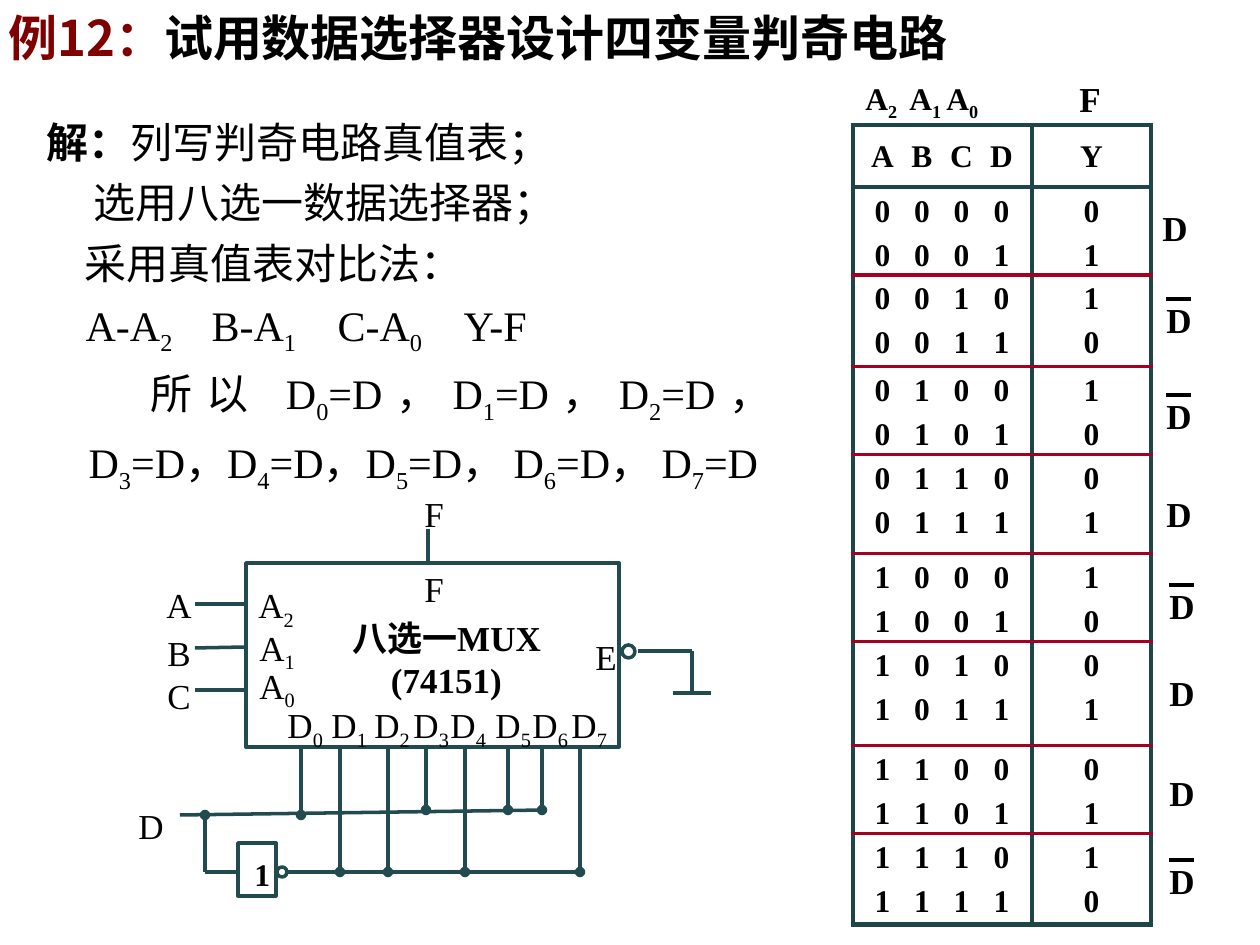
import pptx
import pptx.dml.color
import pptx.enum.shapes
import pptx.enum.text
import pptx.oxml
import pptx.oxml.ns
import pptx.util

PX = 914400 / 126
ALIGN = pptx.enum.text.PP_ALIGN
ANCHOR = pptx.enum.text.MSO_ANCHOR
SHAPE = pptx.enum.shapes.MSO_SHAPE
LATIN, CHINESE = "Times New Roman", "Noto Sans CJK SC"
BLACK, MAROON, FRAME, RED, WIRE = "000000", "800000", "1E4649", "A50021", "224B50"
PLAIN_TABLE_STYLE = "{2D5ABB26-0587-4C30-8999-92F81FD0307C}"

# Content: "_" puts the next character in subscript
TITLE = [("例12：", MAROON), ("试用数据选择器设计四变量判奇电路", BLACK)]
# bold lead, text, left margin, first-line indent, tab stops
STEPS = [
    ("解：", "列写判奇电路真值表；", 5, 0, []),
    ("", "选用八选一数据选择器；", 52, 0, []),
    ("", "采用真值表对比法：", 43, 0, []),
    ("", "A-A_2\tB-A_1\tC-A_0\tY-F", 44, 0, [169, 295, 412]),
    ("", "所以 D_0=D，D_1=D，D_2=D，D_3=D，D_4=D，D_5=D， D_6=D， D_7=D", 47, 62, []),
]

# Truth table: Y is the odd parity of A, B, C, D
HEADER = list("ABCDY")
INPUTS = [[number >> bit & 1 for bit in (3, 2, 1, 0)] for number in range(16)]
TRUTH = [bits + [sum(bits) % 2] for bits in INPUTS]
TABLE_LEFT, TABLE_TOP = 853, 125
COLUMN_WIDTHS = [49, 40, 39, 51, 119]
ROW_HEIGHTS = [62] + [44, 44, 44, 48] + [44, 44, 44, 55] + [44, 44, 44, 60] + [44, 44, 44, 47]
TABLE_HEADS = [("A_2", 853, 73, 18), ("A_1", 897, 73, 18), ("A_0", 934, 73, 18),
               ("F", 1067, 71, 20)]
# left, top, inverted
RESULTS = [(1150, 200, False), (1154, 292, True), (1154, 388, True), (1154, 486, False),
           (1157, 578, True), (1157, 665, False), (1157, 765, False), (1157, 853, True)]

# Circuit: data pins as wire x, wire end y, label left
DATA_PINS = [(301, 815, 275), (340, 872, 319), (388, 872, 362), (426, 810, 401),
             (465, 872, 438), (508, 810, 483), (542, 810, 520), (580, 872, 559)]
PIN_TOP, PIN_LABEL_TOP = 747, 697
CIRCUIT_LABELS = [("A", 154, 577), ("B", 155, 625), ("C", 155, 668), ("D", 126, 798),
                  ("A_2", 246, 577), ("A_1", 247, 620), ("A_0", 247, 658),
                  ("F", 412, 486), ("F", 412, 561), ("E", 583, 629)]
OUTLINES = [(SHAPE.RECTANGLE, 246, 563, 373, 184), (SHAPE.RECTANGLE, 238, 843, 38, 53),
            (SHAPE.OVAL, 622, 645, 13, 13), (SHAPE.OVAL, 277, 867, 10, 10)]
WIRES = [(246, 604, 195, 604), (247, 647, 195, 648), (246, 690, 195, 690),
         (428, 563, 428, 529), (638, 651, 692, 651), (692, 651, 692, 693),
         (673, 693, 711, 693), (547, 810, 180, 815), (238, 872, 205, 872),
         (580, 872, 287, 872)]


def px(value):
    return round(value * PX)


def color(value):
    return pptx.dml.color.RGBColor.from_string(value)


def add_xml(parent, tag, **attributes):
    element = pptx.oxml.parse_xml(f"<a:{tag} {pptx.oxml.ns.nsdecls('a')}/>")
    for name, value in attributes.items():
        element.set(name, str(value))
    parent.append(element)
    return element


def add_text(paragraph, text, size, bold=False, fill=BLACK, latin=LATIN):
    first, *others = text.split("_")
    pieces = [(first, False)]
    for other in others:
        pieces += [(other[0], True), (other[1:], False)]
    for piece, subscript in pieces:
        if not piece:
            continue
        run = paragraph.add_run()
        run.text = piece
        values = {"size": pptx.util.Pt(size), "bold": bold, "name": latin}
        for name, value in values.items():
            setattr(run.font, name, value)
        run.font.color.rgb = color(fill)
        properties = run.font._element
        add_xml(properties, "ea", typeface=CHINESE)
        if subscript:
            properties.set("baseline", "-25000")


def add_label(slide, text, left, top, size=20, bold=False, width=72, height=54,
              align=ALIGN.LEFT):
    box = slide.shapes.add_textbox(*map(px, (left, top, width, height)))
    frame = box.text_frame
    frame.word_wrap = True
    for index, line in enumerate(text.split("\n")):
        paragraph = frame.add_paragraph() if index else frame.paragraphs[0]
        paragraph.alignment = align
        add_text(paragraph, line, size, bold)


def add_line(slide, ends, stroke=WIRE, width=2, dot=None):
    line = slide.shapes.add_connector(pptx.enum.shapes.MSO_CONNECTOR.STRAIGHT, *map(px, ends))
    line.line.color.rgb = color(stroke)
    line.line.width = pptx.util.Pt(width)
    if dot:
        add_xml(line.line._get_or_add_ln(), dot, type="oval")
    add_xml(line._element.spPr, "effectLst")


def set_placeholder(shape, left, top, width, height):
    values = {"left": left, "top": top, "width": width, "height": height}
    for name, value in values.items():
        setattr(shape, name, px(value))
    frame = shape.text_frame
    values = {"word_wrap": True, "vertical_anchor": ANCHOR.TOP,
              "auto_size": pptx.enum.text.MSO_AUTO_SIZE.NONE}
    for name, value in values.items():
        setattr(frame, name, value)
    return frame


def add_border(cell, side, stroke, width):
    line = add_xml(cell._tc.get_or_add_tcPr(), side, w=pptx.util.Pt(width))
    add_xml(add_xml(line, "solidFill"), "srgbClr", val=stroke)


def add_steps(frame):
    for index, (lead, text, margin, indent, tabs) in enumerate(STEPS):
        paragraph = frame.add_paragraph() if index else frame.paragraphs[0]
        values = {"alignment": ALIGN.JUSTIFY, "line_spacing": 1.2,
                  "space_before": pptx.util.Pt(0)}
        for name, value in values.items():
            setattr(paragraph, name, value)
        properties = paragraph._p.get_or_add_pPr()
        properties.set("marL", str(px(margin)))
        properties.set("indent", str(px(indent)))
        add_xml(properties, "buNone")
        if tabs:
            tab_list = add_xml(properties, "tabLst")
            for tab in tabs:
                add_xml(tab_list, "tab", pos=px(tab), algn="l")
        add_text(paragraph, lead, 24, True, latin=CHINESE)
        add_text(paragraph, text, 24)


def add_truth_table(slide):
    rows = [HEADER] + TRUTH
    last_row, last_column = len(rows) - 1, len(HEADER) - 1
    area = (TABLE_LEFT, TABLE_TOP, sum(COLUMN_WIDTHS), sum(ROW_HEIGHTS))
    table = slide.shapes.add_table(len(rows), len(HEADER), *map(px, area)).table
    table.first_row = table.horz_banding = False
    table._tbl.tblPr.find(pptx.oxml.ns.qn("a:tableStyleId")).text = PLAIN_TABLE_STYLE
    for column, width in zip(table.columns, COLUMN_WIDTHS):
        column.width = px(width)
    for r, (row, height) in enumerate(zip(rows, ROW_HEIGHTS)):
        table.rows[r].height = px(height)
        for c, value in enumerate(row):
            cell = table.cell(r, c)
            values = {"margin_left": px(10 if c == 0 else 0),
                      "margin_right": px(10 if c == 3 else 0),
                      "margin_top": px(7 if r else 14), "margin_bottom": 0,
                      "vertical_anchor": ANCHOR.TOP}
            for name, setting in values.items():
                setattr(cell, name, setting)
            paragraph = cell.text_frame.paragraphs[0]
            paragraph.alignment = ALIGN.CENTER
            add_text(paragraph, str(value), 18, True)
            # Borders: frame, divider before Y, red line under each pair
            if c in (0, last_column):
                add_border(cell, "lnL", FRAME, 2.25 if c else 3)
            if c >= last_column - 1:
                add_border(cell, "lnR", FRAME, 2.25)
            if r == 0:
                add_border(cell, "lnT", FRAME, 3)
            if r == last_row:
                add_border(cell, "lnB", FRAME, 3)
            elif r % 2 == 0:
                add_border(cell, "lnB", RED if r else FRAME, 2.25)
            cell.fill.background()


def add_circuit(slide):
    for kind, *area in OUTLINES:
        shape = slide.shapes.add_shape(kind, *map(px, area))
        shape.shadow.inherit = False
        shape.fill.background()
        shape.line.color.rgb = color(WIRE)
        shape.line.width = pptx.util.Pt(2)
    for wire in WIRES:
        add_line(slide, wire)
    add_line(slide, (205, 815, 205, 872), dot="headEnd")
    for index, (x, end, label_left) in enumerate(DATA_PINS):
        add_line(slide, (x, PIN_TOP, x, end), dot="tailEnd")
        add_label(slide, f"D_{index}", label_left, PIN_LABEL_TOP)
    for label in CIRCUIT_LABELS:
        add_label(slide, *label)
    add_label(slide, "八选一MUX\n(74151)", 319, 610, 20, True, 255, 76, ALIGN.CENTER)
    add_label(slide, "1", 242, 849, 18, True, 38, 50)


def main():
    presentation = pptx.Presentation()
    presentation.slide_width, presentation.slide_height = px(1260), px(945)
    slide = presentation.slides.add_slide(presentation.slide_layouts[1])

    # Title on one line, and solution steps
    title = set_placeholder(slide.shapes.title, -4, 1, 1040, 72).paragraphs[0]
    title.alignment = ALIGN.LEFT
    for text, fill in TITLE:
        add_text(title, text, 28, True, fill, CHINESE)
    add_steps(set_placeholder(slide.placeholders[1], 29, 100, 755, 352))

    # Truth table with the results beside it
    add_truth_table(slide)
    for text, left, top, size in TABLE_HEADS:
        add_label(slide, text, left, top, size, True)
    for left, top, inverted in RESULTS:
        add_label(slide, "D", left, top, 20, True)
        if inverted:
            add_line(slide, (left + 12, top + 7, left + 37, top + 7), BLACK, 2.25)

    add_circuit(slide)
    presentation.save("out.pptx")


if __name__ == "__main__":
    main()
